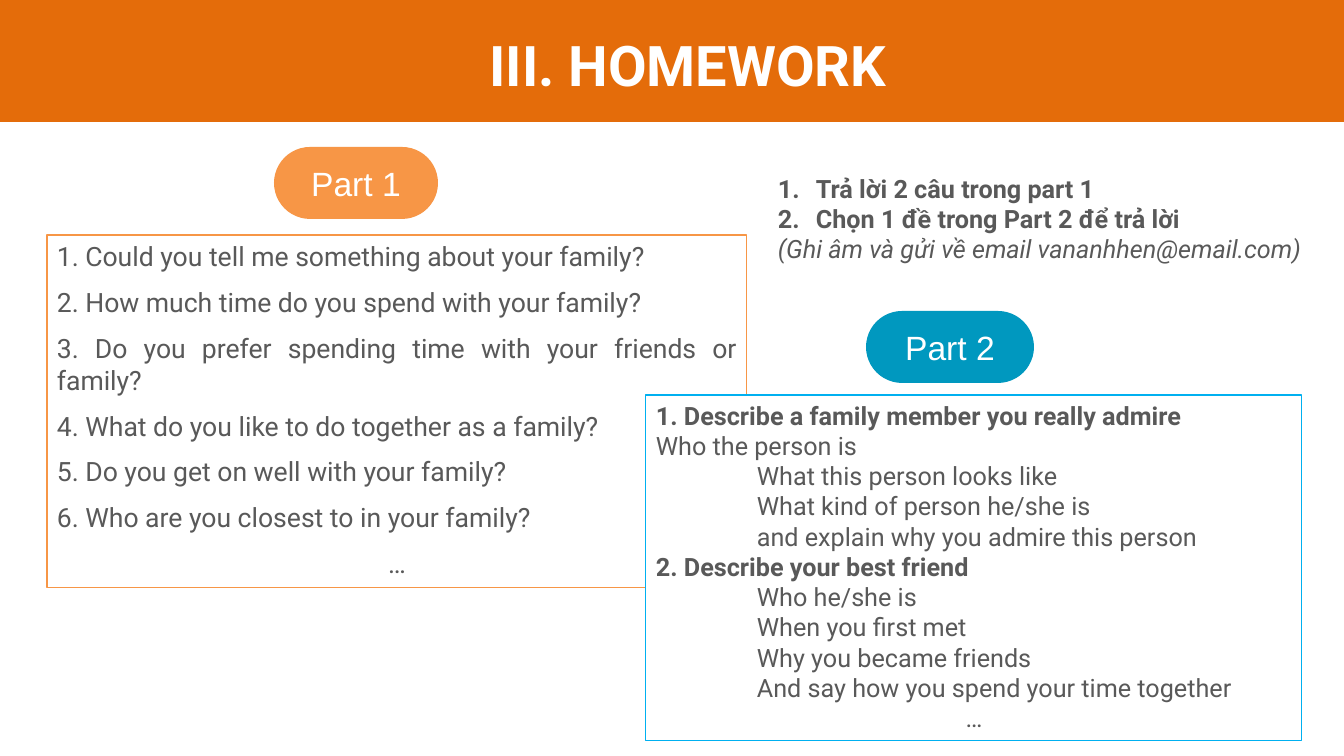
from dataclasses import dataclass

import lxml.etree
import pptx
import pptx.dml.color
import pptx.enum.shapes
import pptx.enum.text
import pptx.oxml.ns
import pptx.util

ALIGN = pptx.enum.text.PP_ALIGN
ANCHOR = pptx.enum.text.MSO_ANCHOR
SHAPE = pptx.enum.shapes.MSO_SHAPE
EMU_PER_PX = 914400 / 100.8


@dataclass(frozen=True)
class Theme:
    banner: str = "E46C0A"
    part1: str = "F79646"
    part2: str = "0098BF"
    part2_border: str = "00B0F0"
    white: str = "FFFFFF"
    body: str = "595959"
    body_font: str = "Roboto"
    label_font: str = "Arial"
    title_size: int = 40
    label_size: int = 24
    question_size: int = 19
    text_size: int = 18
    border_width: float = 0.75


THEME = Theme()

QUESTIONS = [
    "1. Could you tell me something about your family?",
    "2. How much time do you spend with your family?",
    "3. Do you prefer spending time with your friends or family?",
    "4. What do you like to do together as a family?",
    "5. Do you get on well with your family?",
    "6. Who are you closest to in your family?",
]
# Each topic: heading, flush lines, indented prompts
TOPICS = [
    ("1. Describe a family member you really admire",
     ["Who the person is"],
     ["What this person looks like",
      "What kind of person he/she is",
      "and explain why you admire this person"]),
    ("2. Describe your best friend",
     [],
     ["Who he/she is",
      "When you first met",
      "Why you became friends",
      "And say how you spend your time together"]),
]
TASKS = ["Trả lời 2 câu trong part 1", "Chọn 1 đề trong Part 2 để trả lời"]
SUBMISSION = "(Ghi âm và gửi về email vananhhen@email.com)"
MORE = "…"


def px(length):
    return pptx.util.Emu(round(length * EMU_PER_PX))


def rgb(code):
    return pptx.dml.color.RGBColor.from_string(code)


def add_panel(slide, kind, box, fill=None, border=None):
    panel = slide.shapes.add_shape(kind, *map(px, box))
    panel.shadow.inherit = False
    if fill:
        panel.fill.solid()
        panel.fill.fore_color.rgb = rgb(fill)
    else:
        panel.fill.background()
    if border:
        panel.line.color.rgb = rgb(border)
        panel.line.width = pptx.util.Pt(THEME.border_width)
    else:
        panel.line.fill.background()
    panel.text_frame.word_wrap = True
    panel.text_frame.vertical_anchor = ANCHOR.TOP
    return panel


def style(paragraph, size, color=THEME.body, name=THEME.body_font,
          bold=False, italic=False, align=ALIGN.LEFT):
    paragraph.alignment = align
    font = paragraph.font
    font.size = pptx.util.Pt(size)
    font.name = name
    font.bold = bold
    font.italic = italic
    font.color.rgb = rgb(color)


def write_line(frame, text):
    """Fill the empty first paragraph, or append a new one."""
    first = frame.paragraphs[0]
    paragraph = first if not first.text else frame.add_paragraph()
    paragraph.text = text
    return paragraph


def indent(paragraph, left, numbered=False):
    properties = paragraph._p.get_or_add_pPr()
    properties.set("marL", str(px(left)))
    properties.set("indent", str(px(-left if numbered else 0)))
    if numbered:
        lxml.etree.SubElement(properties, pptx.oxml.ns.qn("a:buFont"), typeface="+mj-lt")
        lxml.etree.SubElement(properties, pptx.oxml.ns.qn("a:buAutoNum"), type="arabicPeriod")


def add_title(slide):
    banner = add_panel(slide, SHAPE.RECTANGLE, (0, 0, 1344, 122), THEME.banner)
    title = slide.shapes.title
    title.element.addprevious(banner.element)
    title.left, title.top, title.width, title.height = map(px, (184, 25, 1008, 78))
    title.text_frame.vertical_anchor = ANCHOR.TOP
    heading = write_line(title.text_frame, "III. HOMEWORK")
    style(heading, THEME.title_size, THEME.white, bold=True, align=ALIGN.CENTER)


def add_part_label(slide, text, box, fill):
    pill = add_panel(slide, SHAPE.ROUNDED_RECTANGLE, box, fill)
    pill.adjustments[0] = 0.5
    pill.text_frame.vertical_anchor = ANCHOR.MIDDLE
    label = write_line(pill.text_frame, text)
    style(label, THEME.label_size, THEME.white, THEME.label_font, align=ALIGN.CENTER)


def add_questions(slide):
    frame = add_panel(slide, SHAPE.RECTANGLE, (47, 235, 700, 353),
                      border=THEME.part1).text_frame
    for number, text in enumerate(QUESTIONS + [MORE]):
        question = write_line(frame, text)
        question.space_before = pptx.util.Pt(5 if number else 0)
        question.space_after = pptx.util.Pt(5)
        style(question, THEME.question_size,
              align=ALIGN.CENTER if text == MORE else ALIGN.JUSTIFY)


def add_topics(slide):
    frame = add_panel(slide, SHAPE.RECTANGLE, (646, 395, 656, 346),
                      THEME.white, THEME.part2_border).text_frame
    for heading, flush_lines, prompts in TOPICS:
        style(write_line(frame, heading), THEME.text_size, bold=True)
        for text in flush_lines:
            style(write_line(frame, text), THEME.text_size)
        for text in prompts:
            prompt = write_line(frame, text)
            indent(prompt, 101)
            style(prompt, THEME.text_size)
    style(write_line(frame, MORE), THEME.text_size, align=ALIGN.CENTER)


def add_instructions(slide):
    frame = slide.shapes.add_textbox(*map(px, (768, 168, 576, 102))).text_frame
    frame.word_wrap = True
    for text in TASKS:
        task = write_line(frame, text)
        indent(task, 38, numbered=True)
        style(task, THEME.text_size, bold=True)
    style(write_line(frame, SUBMISSION), THEME.text_size, italic=True)


def main():
    deck = pptx.Presentation()
    deck.slide_width, deck.slide_height = px(1344), px(756)
    slide = deck.slides.add_slide(deck.slide_layouts.get_by_name("Title Only"))
    add_title(slide)
    add_part_label(slide, "Part 1", (274, 147, 164, 72), THEME.part1)
    add_questions(slide)
    add_part_label(slide, "Part 2", (866, 311, 168, 72), THEME.part2)
    add_topics(slide)
    add_instructions(slide)
    deck.save("out.pptx")


if __name__ == "__main__":
    main()
